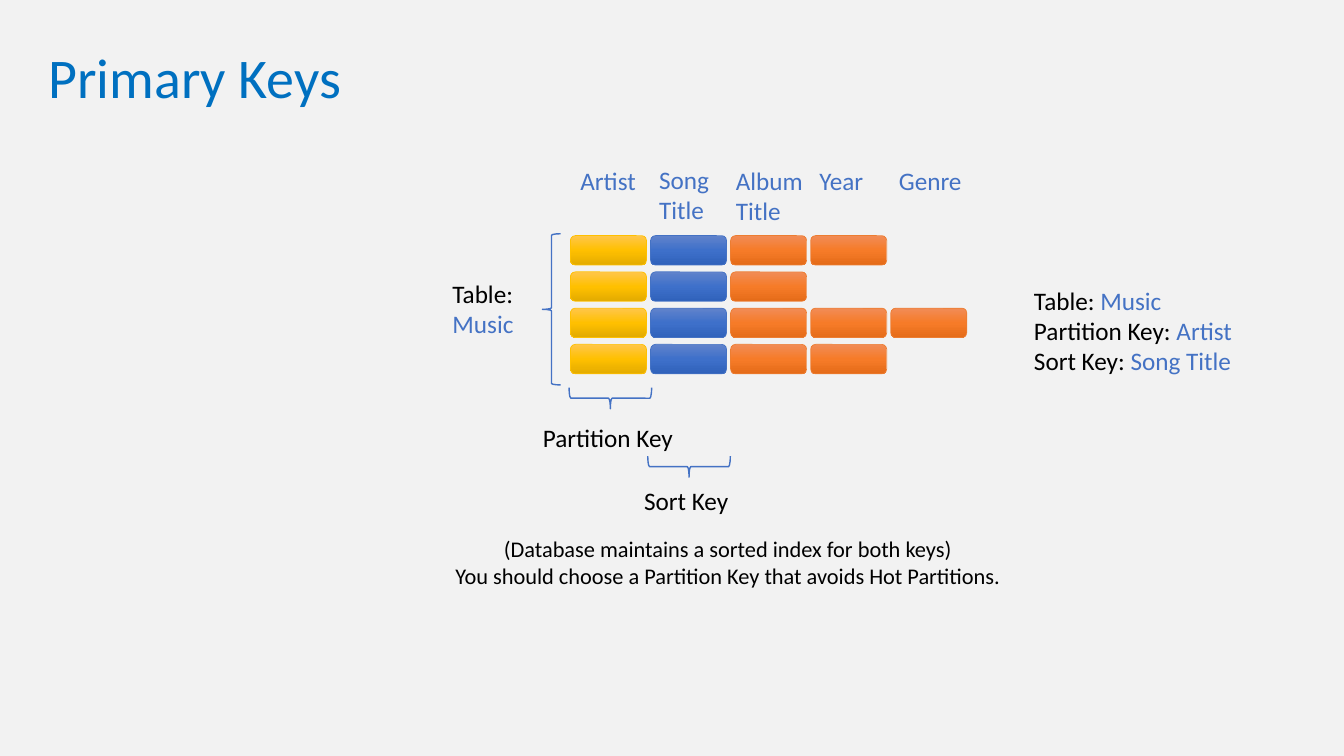
import copy

import pptx
import pptx.dml.color
import pptx.enum.shapes
import pptx.enum.text
import pptx.oxml.ns
import pptx.util

Pt = pptx.util.Pt
SHAPE = pptx.enum.shapes.MSO_SHAPE
ALIGN = pptx.enum.text.PP_ALIGN
FIT = pptx.enum.text.MSO_AUTO_SIZE
ANCHOR = pptx.enum.text.MSO_ANCHOR

BLACK, BLUE = "000000", "4472C4"
YELLOW_CELL = ("FFC000", ["FFC64B", "FFC000", "E3AB00"])
BLUE_CELL = (BLUE, ["6183CB", "3E70CA", "3062BB"])
ORANGE_CELL = ("ED7D31", ["F18C57", "F67B28", "E56C19"])


def rgb(value):
    return pptx.dml.color.RGBColor.from_string(value)


class Deck:
    """Holds the style and the current slide, and draws each kind of element."""

    font = "Calibri"

    def __init__(self):
        self.prs = pptx.Presentation()
        self.prs.slide_width, self.prs.slide_height = Pt(960), Pt(540)

    def add_slide(self, background):
        self.s = self.prs.slides.add_slide(self.prs.slide_layouts[5])
        fill = self.s.background.fill
        fill.solid()
        fill.fore_color.rgb = rgb(background)

    def title(self, text, x, y, w, h, size, color):
        sp = self.s.shapes.title
        sp.left, sp.top, sp.width, sp.height = map(Pt, (x, y, w, h))
        tf = sp.text_frame
        tf.text = text
        tf.auto_size = FIT.NONE
        tf.vertical_anchor = ANCHOR.MIDDLE
        p = tf.paragraphs[0]
        p.alignment, p.line_spacing = ALIGN.LEFT, 0.9
        self.style(p.font, size, color)

    def style(self, font, size, color):
        font.name, font.size = self.font, Pt(size)
        font.color.rgb = rgb(color)

    def text(self, lines, x, y, w, h, size=18, align=ALIGN.LEFT, wrap=True):
        tf = self.s.shapes.add_textbox(*map(Pt, (x, y, w, h))).text_frame
        tf.word_wrap, tf.auto_size = wrap, FIT.SHAPE_TO_FIT_TEXT
        for i, runs in enumerate(lines):
            p = tf.add_paragraph() if i else tf.paragraphs[0]
            p.alignment = align
            self.style(p.font, size, runs[0][1])
            for text, color in runs:
                r = p.add_run()
                r.text = text
                if color != runs[0][1]:
                    r.font.color.rgb = rgb(color)

    def shape(self, kind, x, y, w, h, line, width):
        sp = self.s.shapes.add_shape(kind, *map(Pt, (x, y, w, h)))
        sp.shadow.inherit = False
        sp.line.color.rgb, sp.line.width = rgb(line), Pt(width)
        return sp

    def cell(self, x, y, w, h, line, colors):
        sp = self.shape(SHAPE.ROUNDED_RECTANGLE, x, y, w, h, line, 0.5)
        sp.fill.gradient()
        sp.fill.gradient_angle = 270
        stops = next(sp._element.iter(pptx.oxml.ns.qn("a:gsLst")))
        stops.insert(1, copy.deepcopy(stops[0]))
        for i, (stop, color) in enumerate(zip(sp.fill.gradient_stops, colors)):
            stop.position = i / 2
            stop.color.rgb = rgb(color)

    def brace(self, kind, x, y, w, h, rotation=0):
        sp = self.shape(kind, x, y, w, h, BLUE, 1)
        sp.fill.background()
        sp.rotation = rotation


def main():
    deck = Deck()
    deck.add_slide("F2F2F2")
    deck.title("Primary Keys", 27.4, 22.3, 885, 70.6, 40, "0070C0")

    column_cells = [YELLOW_CELL, BLUE_CELL] + [ORANGE_CELL] * 3
    for row, filled in enumerate([4, 3, 5, 4]):
        for column, (line, colors) in enumerate(column_cells[:filled]):
            deck.cell(407.5 + 57.2 * column, 168.3 + 25.9 * row, 54.3, 21, line, colors)

    headings = [
        ("Artist", 407.5, 114.5, 57.6, 29),
        ("Song Title", 463.7, 113.8, 57.6, 51),
        ("Album Title", 518.5, 114.5, 67.7, 51),
        ("Year", 578.2, 114.5, 57.6, 29),
        ("Genre", 635, 114.8, 73.4, 29),
    ]
    for heading, *box in headings:
        deck.text([[(heading, BLUE)]], *box)

    deck.brace(SHAPE.LEFT_BRACE, 387.4, 167, 13, 108)
    deck.brace(SHAPE.RIGHT_BRACE, 428.4, 254.9, 15.1, 59, 90)
    deck.brace(SHAPE.RIGHT_BRACE, 484.6, 303.8, 15.1, 59, 90)
    deck.text([[("Partition Key", BLACK)]], 298.1, 298.1, 272.2, 29, align=ALIGN.CENTER)
    deck.text([[("Sort Key", BLACK)]], 354, 343.4, 272.2, 29, align=ALIGN.CENTER)

    table_name = [("Table:", BLACK), (" Music", BLUE)]
    deck.text([table_name], 316.1, 195.1, 91.4, 51)
    key_summary = [
        table_name,
        [("Partition Key:", BLACK), (" Artist", BLUE)],
        [("Sort Key:", BLACK), (" Song Title", BLUE)],
    ]
    deck.text(key_summary, 731.5, 200.2, 180, 72.7, wrap=False)
    advice = [
        [("(Database maintains a sorted index for both keys)", BLACK)],
        [("You should choose a Partition Key that avoids Hot Partitions.", BLACK)],
    ]
    deck.text(advice, 236.2, 378.7, 567.4, 46, 16, ALIGN.CENTER)
    deck.prs.save("out.pptx")


if __name__ == "__main__":
    main()
